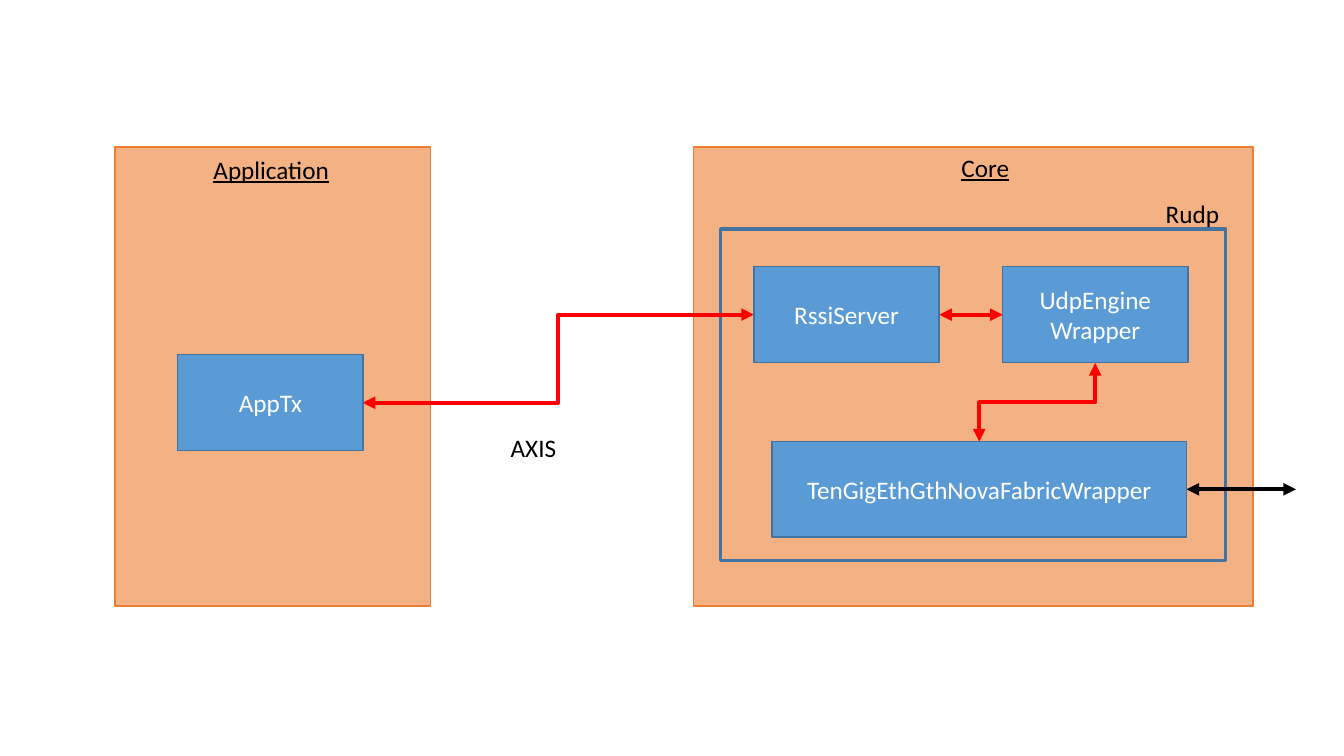
from lxml import etree
from pptx import Presentation
from pptx.dml.color import RGBColor
from pptx.enum.shapes import MSO_CONNECTOR, MSO_SHAPE
from pptx.enum.text import MSO_ANCHOR, MSO_AUTO_SIZE, PP_ALIGN
from pptx.oxml.ns import qn
from pptx.util import Cm, Pt

RECT = MSO_SHAPE.RECTANGLE
LINE, ELBOW = MSO_CONNECTOR.STRAIGHT, MSO_CONNECTOR.ELBOW
LEFT, CENTER = PP_ALIGN.LEFT, PP_ALIGN.CENTER
MIDDLE = MSO_ANCHOR.MIDDLE
FIT = MSO_AUTO_SIZE.SHAPE_TO_FIT_TEXT

COLORS = {
    "panel": "F4B183", "edge": "ED7D31", "block": "5B9BD5", "rim": "43739E",
    "flow": "FF0000", "black": "000000", "white": "FFFFFF",
}
RGB = {name: RGBColor.from_string(code) for name, code in COLORS.items()}

deck = Presentation()
deck.slide_width, deck.slide_height = Cm(33.87), Cm(19.05)
slide = deck.slides.add_slide(deck.slide_layouts[6])
shapes = slide.shapes


def add_rect(box, fill, edge, width):
    """Add a filled, outlined rectangle without shadow."""
    rect = shapes.add_shape(RECT, *map(Cm, box))
    rect.shadow.inherit = False
    rect.fill.solid()
    rect.fill.fore_color.rgb = RGB[fill]
    rect.line.color.rgb = RGB[edge]
    rect.line.width = Pt(width)
    return rect


def add_text(frame, lines, color, align, under=None):
    """Write each line as a paragraph with one run."""
    for i, line in enumerate(lines):
        para = frame.add_paragraph() if i else frame.paragraphs[0]
        para.alignment = align
        run = para.add_run()
        run.text = line
        run.font.name = "Calibri"
        run.font.size = Pt(18)
        run.font.underline = under
        run.font.color.rgb = RGB[color]


# Panels
top, tall = 3.71, 11.56
add_rect((17.48, top, 14.1, tall), "panel", "edge", 1)
add_rect((18.16, 5.77, 12.73, 8.36), "panel", "rim", 2.25)
add_rect((2.9, top, 7.95, tall), "panel", "edge", 1)

# Labels
labels = [
    ("Application", (5.13, 3.76, 3.45), LEFT, True),
    ("Core", (23.98, top, 1.73), LEFT, True),
    ("Rudp", (29.11, 4.88, 1.88), CENTER, None),
    ("AXIS", (12.62, 10.77, 1.68), LEFT, None),
]
for text, place, align, under in labels:
    frame = shapes.add_textbox(*map(Cm, place), Cm(1.02)).text_frame
    frame.word_wrap = False
    frame.auto_size = FIT
    add_text(frame, [text], "black", align, under)

# Arrows; the upright elbow is laid out flat and then turned
row, base = 7.93, 12.33
arrows = [
    (ELBOW, (9.14, 10.15, 19, row), "flow", 0),
    (LINE, (23.67, row, 25.27, row), "flow", 0),
    (ELBOW, (27.13, 11.6, 25.15, 8.68), "flow", 90),
    (LINE, (29.9, base, 32.66, base), "black", 0),
]
for kind, ends, color, turn in arrows:
    arrow = shapes.add_connector(kind, *map(Cm, ends))
    arrow.line.color.rgb = RGB[color]
    arrow.line.width = Pt(3)
    props = arrow.element.spPr
    if turn:
        props.find(qn("a:xfrm")).set("rot", str(turn * 60000))
    for tag in ("a:headEnd", "a:tailEnd"):
        etree.SubElement(props.find(qn("a:ln")), qn(tag), type="triangle")
    etree.SubElement(props, qn("a:effectLst"))

# Blocks
wide, high = 4.67, 2.41
blocks = [
    (["AppTx"], 4.48, 8.94, wide),
    (["RssiServer"], 19, 6.72, wide),
    (["UdpEngine", "Wrapper"], 25.27, 6.72, wide),
    (["TenGigEthGthNovaFabricWrapper"], 19.46, 11.12, 10.44),
]
for lines, x, y, width in blocks:
    frame = add_rect((x, y, width, high), "block", "rim", 1).text_frame
    frame.word_wrap = True
    frame.vertical_anchor = MIDDLE
    add_text(frame, lines, "white", CENTER)

deck.save("out.pptx")
